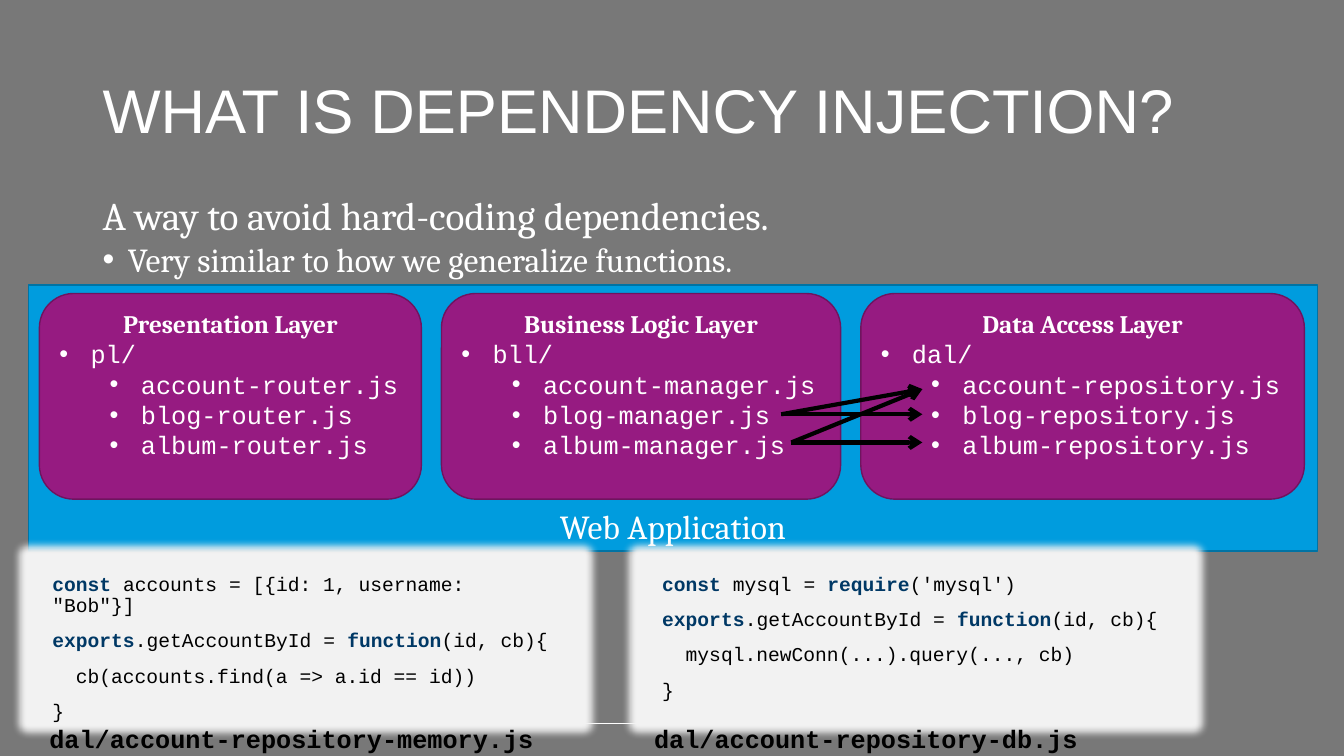
from lxml.etree import SubElement
from pptx import Presentation
from pptx.dml.color import RGBColor
from pptx.enum.shapes import MSO_CONNECTOR, MSO_SHAPE
from pptx.enum.text import MSO_ANCHOR, PP_ALIGN
from pptx.oxml.ns import qn
from pptx.util import Inches, Pt

WHITE, BLACK, NAVY, PALE = "FFFFFF", "000000", "003865", "F2F2F2"
SANS, SERIF, MONO = "Arial", "Cambria", "Courier New"


def paint(fill, colour):
    fill.solid()
    fill.fore_color.rgb = RGBColor.from_string(colour)


def write(box, paragraphs, anchor=MSO_ANCHOR.TOP):
    frame = box.text_frame
    frame.word_wrap = True
    frame.vertical_anchor = anchor
    for index, (spans, layout, indent) in enumerate(paragraphs):
        para = frame.add_paragraph() if index else frame.paragraphs[0]
        for name, value in {"alignment": PP_ALIGN.LEFT, **layout}.items():
            setattr(para, name, value)
        if indent:
            margin, hanging = indent
            properties = para._p.get_or_add_pPr()
            properties.set("marL", str(Inches(margin)))
            properties.set("indent", str(-Inches(hanging)))
            SubElement(properties, qn("a:buFont"), typeface="Arial")
            SubElement(properties, qn("a:buChar"), char="•")
        for text, font, size, colour, bold in spans:
            span = para.add_run()
            span.text = text
            for name, value in {"name": font, "size": Pt(size), "bold": bold}.items():
                setattr(span.font, name, value)
            paint(span.font.fill, colour)


deck = Presentation()
deck.slide_width, deck.slide_height = Inches(13.33), Inches(7.5)
column, row = deck.slide_width / 100, deck.slide_height / 100
page = deck.slides.add_slide(deck.slide_layouts[6])
paint(page.background.fill, "787878")

centred = {"alignment": PP_ALIGN.CENTER}
title = [([("WHAT IS DEPENDENCY INJECTION?", SANS, 44, WHITE, False)], {"line_spacing": 0.9}, None)]
summary = [
    ([("A way to avoid hard-coding dependencies.", SERIF, 28, WHITE, False)], {}, None),
    ([("Very similar to how we generalize functions.", SERIF, 24, WHITE, False)], {}, (0.25, 0.25)),
]
application = [([("Web Application", SERIF, 24, WHITE, False)], centred, None)]

labels = [
    (6.9, 5.33, 88.05, 19.33, title, MSO_ANCHOR.MIDDLE),
    (6.9, 24.67, 86.25, 13.07, summary, MSO_ANCHOR.TOP),
]
panels = [(MSO_SHAPE.RECTANGLE, 2.1, 37.7, 95.92, 35.2, "009CDE", "0073A4", application, MSO_ANCHOR.BOTTOM)]

layers = [
    ("Presentation Layer", "pl/", "router", 28.42),
    ("Business Logic Layer", "bll/", "manager", 29.7),
    ("Data Access Layer", "dal/", "repository", 33),
]
left, gap = 2.93, 1.5
for heading, folder, role, width in layers:
    listing = [
        ([(heading, SERIF, 18, WHITE, True)], centred, None),
        ([(folder, MONO, 18, WHITE, False)], {}, (0.31, 0.31)),
    ]
    for subject in ("account", "blog", "album"):
        listing.append(([(f"{subject}-{role}.js", MONO, 18, WHITE, False)], {"level": 1}, (0.81, 0.31)))
    panels.append((MSO_SHAPE.ROUNDED_RECTANGLE, left, 38.83, width, 27.2, "961B81", "6F145F", listing, MSO_ANCHOR.TOP))
    left += width + gap

signature = ("exports", ".getAccountById = ", "function", "(id, cb){")
modules = [
    (3.15, 2.93, "dal/account-repository-memory.js", [
        ("const ", 'accounts = [{id: 1, username: "Bob"}]'),
        signature,
        ("", "  cb(accounts.find(a => a.id == id))"),
        ("", "}"),
    ]),
    (48.53, 47.93, "dal/account-repository-db.js", [
        ("const ", "mysql = ", "require", "('mysql')"),
        signature,
        ("", "  mysql.newConn(...).query(..., cb)"),
        ("", "}"),
    ]),
]
for code_left, caption_left, filename, lines in modules:
    code = []
    for number, pieces in enumerate(lines):
        spans = [
            (piece, MONO, 14, BLACK if place % 2 else NAVY, place % 2 == 0)
            for place, piece in enumerate(pieces) if piece
        ]
        code.append((spans, {"line_spacing": 0.9, "space_before": Pt(10 if number else 0)}, None))
    panels.append((MSO_SHAPE.RECTANGLE, code_left, 75.35, 39.15, 18.4, PALE, None, code, MSO_ANCHOR.TOP))
    caption = [([(filename, MONO, 18, BLACK, True)], {}, None)]
    labels.append((caption_left, 95.07, 39.15, 5.33, caption, MSO_ANCHOR.TOP))

account_row, blog_row, album_row = 51.47, 54.8, 58.53
blog_start, album_start, arrow_end = 58.13, 58.88, 68.63
strokes = [
    (4.28, 95.73, 77.7, 95.73, WHITE, 0.75, False),
    (blog_start, blog_row, arrow_end, blog_row, BLACK, 3, True),
    (blog_start, blog_row, arrow_end, account_row, BLACK, 3, True),
    (album_start, album_row, arrow_end, album_row, BLACK, 3, True),
    (album_start, album_row, arrow_end, account_row, BLACK, 3, True),
]
arrows = []
for x1, y1, x2, y2, colour, weight, pointed in strokes:
    stroke = page.shapes.add_connector(
        MSO_CONNECTOR.STRAIGHT, int(x1 * column), int(y1 * row), int(x2 * column), int(y2 * row))
    paint(stroke.line.fill, colour)
    stroke.line.width = Pt(weight)
    properties = stroke._element.spPr
    if pointed:
        SubElement(properties.find(qn("a:ln")), qn("a:tailEnd"), type="arrow")
        arrows.append(stroke)
    SubElement(properties, qn("a:effectLst"))

for kind, x, y, width, height, colour, edge, paragraphs, anchor in panels:
    panel = page.shapes.add_shape(kind, int(x * column), int(y * row), int(width * column), int(height * row))
    panel.shadow.inherit = False
    paint(panel.fill, colour)
    if edge:
        paint(panel.line.fill, edge)
        panel.line.width = Pt(1)
    else:
        panel.line.fill.background()
        effects = panel._element.spPr.find(qn("a:effectLst"))
        glow = SubElement(effects, qn("a:glow"), rad=str(Pt(11)))
        SubElement(glow, qn("a:srgbClr"), val=colour)
    write(panel, paragraphs, anchor)

for x, y, width, height, paragraphs, anchor in labels:
    box = page.shapes.add_textbox(int(x * column), int(y * row), int(width * column), int(height * row))
    write(box, paragraphs, anchor)

for arrow in arrows:
    page.shapes._spTree.append(arrow._element)

deck.save("out.pptx")
